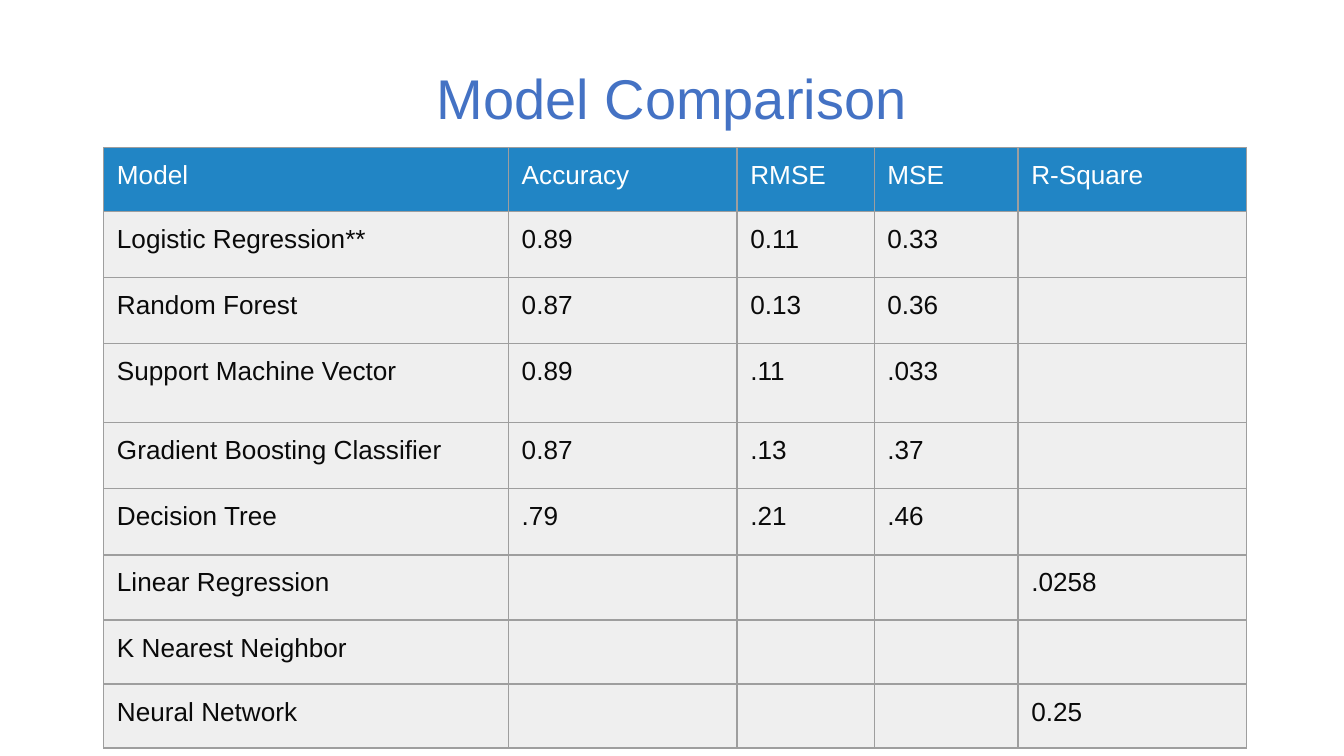
from dataclasses import dataclass

from lxml.etree import SubElement
from pptx import Presentation
from pptx.dml.color import RGBColor
from pptx.enum.text import MSO_ANCHOR, MSO_AUTO_SIZE, PP_ALIGN
from pptx.oxml.ns import qn
from pptx.slide import Slide
from pptx.table import _Cell
from pptx.util import Cm, Pt


@dataclass(frozen=True)
class Theme:
    font: str = "Arial"
    title_size: int = 30
    cell_size: int = 14
    title: str = "4472C4"
    header_fill: str = "2185C5"
    header_text: str = "FFFFFF"
    body_fill: str = "EFEFEF"
    body_text: str = "0A0A0A"
    border: str = "9E9E9E"
    border_width: float = 0.75
    cell_margin: float = 0.25


@dataclass(frozen=True)
class ModelRow:
    model: str
    accuracy: str = ""
    rmse: str = ""
    mse: str = ""
    r_square: str = ""
    height: float = 1.25

    def texts(self) -> list[str]:
        return [self.model, self.accuracy, self.rmse, self.mse, self.r_square]


THEME = Theme()
COLUMN_WIDTHS = [7.65, 4.32, 2.59, 2.72, 4.32]
ROWS = [
    ModelRow("Model", "Accuracy", "RMSE", "MSE", "R-Square", height=1.21),
    ModelRow("Logistic Regression**", "0.89", "0.11", "0.33"),
    ModelRow("Random Forest", "0.87", "0.13", "0.36"),
    ModelRow("Support Machine Vector", "0.89", ".11", ".033", height=1.49),
    ModelRow("Gradient Boosting Classifier", "0.87", ".13", ".37"),
    ModelRow("Decision Tree", ".79", ".21", ".46"),
    ModelRow("Linear Regression", r_square=".0258", height=1.23),
    ModelRow("K Nearest Neighbor", height=1.21),
    ModelRow("Neural Network", r_square="0.25", height=1.21),
]


def format_paragraph(paragraph, size: int, color: str) -> None:
    paragraph.font.name = THEME.font
    paragraph.font.size = Pt(size)
    paragraph.font.bold = False
    paragraph.font.color.rgb = RGBColor.from_string(color)


def add_borders(cell: _Cell) -> None:
    properties = cell._tc.get_or_add_tcPr()
    for side in ("lnL", "lnR", "lnT", "lnB"):
        line = SubElement(properties, qn(f"a:{side}"), w=str(Pt(THEME.border_width)))
        fill = SubElement(line, qn("a:solidFill"))
        SubElement(fill, qn("a:srgbClr"), val=THEME.border)


def fill_cell(cell: _Cell, text: str, fill: str, color: str) -> None:
    cell.text = text
    cell.margin_left = cell.margin_right = Cm(THEME.cell_margin)
    cell.margin_top = cell.margin_bottom = Cm(THEME.cell_margin)
    format_paragraph(cell.text_frame.paragraphs[0], THEME.cell_size, color)
    add_borders(cell)
    cell.fill.solid()
    cell.fill.fore_color.rgb = RGBColor.from_string(fill)


def add_title(page: Slide, text: str) -> None:
    title = page.shapes.title
    title.left, title.top, title.width, title.height = Cm(0.86), Cm(0.69), Cm(23.67), Cm(1.9)
    frame = title.text_frame
    frame.text = text
    frame.auto_size = MSO_AUTO_SIZE.NONE
    frame.vertical_anchor = MSO_ANCHOR.BOTTOM
    paragraph = frame.paragraphs[0]
    paragraph.alignment = PP_ALIGN.CENTER
    format_paragraph(paragraph, THEME.title_size, THEME.title)


def add_comparison_table(page: Slide, rows: list[ModelRow]) -> None:
    width, height = sum(COLUMN_WIDTHS), sum(row.height for row in rows)
    table = page.shapes.add_table(
        len(rows), len(COLUMN_WIDTHS), Cm(1.96), Cm(2.79), Cm(width), Cm(height)
    ).table
    table.horz_banding = False
    for column, column_width in zip(table.columns, COLUMN_WIDTHS):
        column.width = Cm(column_width)
    for index, row in enumerate(rows):
        table.rows[index].height = Cm(row.height)
        is_header = index == 0
        fill = THEME.header_fill if is_header else THEME.body_fill
        color = THEME.header_text if is_header else THEME.body_text
        for cell, text in zip(table.rows[index].cells, row.texts()):
            fill_cell(cell, text, fill, color)


def main() -> None:
    deck = Presentation()
    deck.slide_width, deck.slide_height = Cm(25.4), Cm(14.29)
    # Title-only page
    page = deck.slides.add_slide(deck.slide_layouts[5])
    add_title(page, "Model Comparison")
    # Scores of each model
    add_comparison_table(page, ROWS)
    deck.save("out.pptx")


if __name__ == "__main__":
    main()
